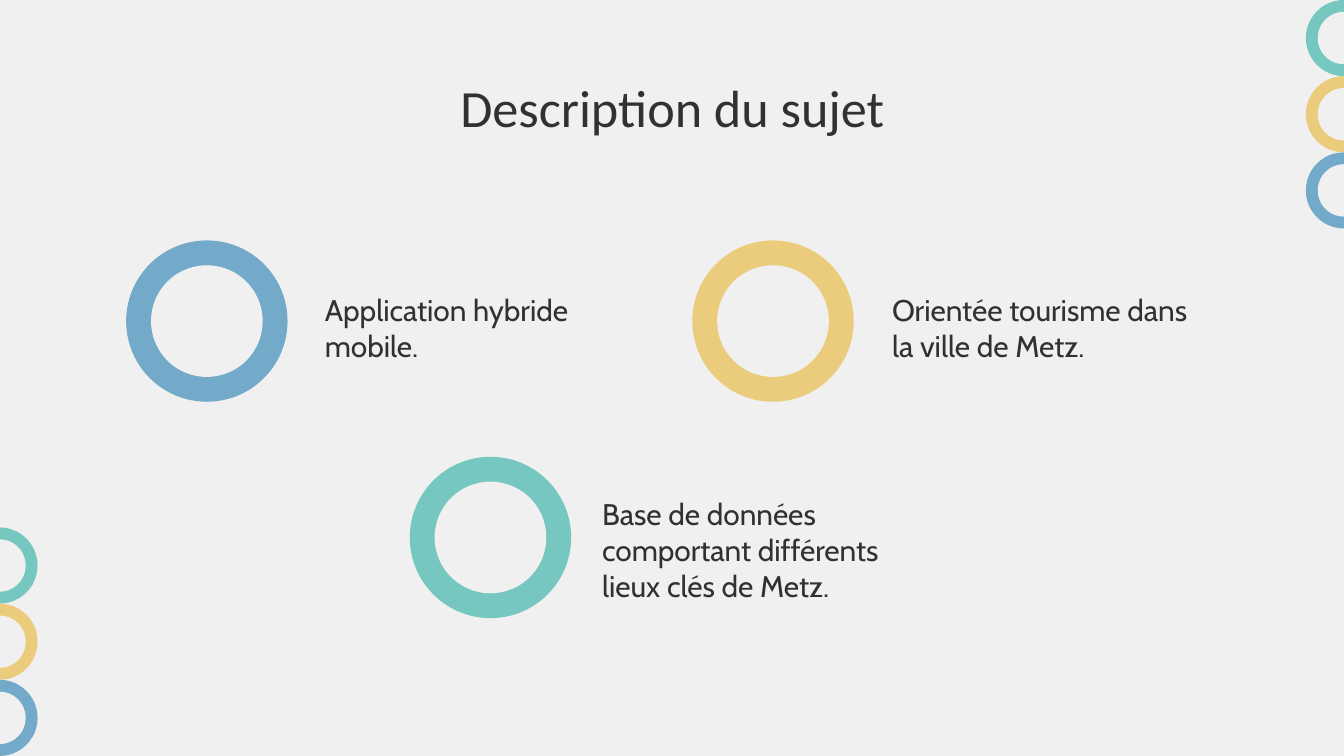
from dataclasses import dataclass

from pptx import Presentation
from pptx import util as u
from pptx.dml import color
from pptx.enum import shapes, text

COLORS = {
    "background": "F0F0F0",
    "text": "313131",
    "blue": "73A9C9",
    "yellow": "EBCC7D",
    "teal": "75C7BF",
}
SLIDE_WIDTH, SLIDE_HEIGHT = 25.4, 14.29
EDGE_DIAMETER, EDGE_HOLE = 1.44, 0.99
TOPIC_DIAMETER, TOPIC_HOLE = 3.05, 2.11
INSET = 0.25


@dataclass
class Ring:
    x: float
    y: float
    color: str
    diameter: float
    hole: float


@dataclass
class Topic:
    ring: Ring
    left: float
    top: float
    label: str


def rgb(name: str) -> color.RGBColor:
    return color.RGBColor.from_string(COLORS[name])


def draw_circle(slide, x: float, y: float, diameter: float, fill: str) -> None:
    corner = u.Cm(x - diameter / 2), u.Cm(y - diameter / 2)
    shape = slide.shapes.add_shape(
        shapes.MSO_SHAPE.OVAL, *corner, u.Cm(diameter), u.Cm(diameter)
    )
    shape.shadow.inherit = False
    shape.fill.solid()
    shape.fill.fore_color.rgb = rgb(fill)
    shape.line.fill.background()


def draw_ring(slide, ring: Ring) -> None:
    draw_circle(slide, ring.x, ring.y, ring.diameter, ring.color)
    draw_circle(slide, ring.x, ring.y, ring.hole, "background")


def draw_edge_rings(slide, x: float, top: float) -> None:
    for row, name in enumerate(("teal", "yellow", "blue")):
        y = top + (row + 0.5) * EDGE_DIAMETER
        draw_ring(slide, Ring(x, y, name, EDGE_DIAMETER, EDGE_HOLE))


def write_text(shape, words: str, font_name: str, size: int, anchor, alignment) -> None:
    frame = shape.text_frame
    frame.text = words
    frame.word_wrap = True
    frame.auto_size = text.MSO_AUTO_SIZE.NONE
    frame.vertical_anchor = anchor
    frame.margin_left = frame.margin_right = u.Cm(INSET)
    frame.margin_top = frame.margin_bottom = u.Cm(INSET)
    paragraph = frame.paragraphs[0]
    paragraph.alignment = alignment
    font = paragraph.runs[0].font
    font.name = font_name
    font.size = u.Pt(size)
    font.color.rgb = rgb("text")


def draw_title(slide, words: str) -> None:
    title = slide.shapes.title
    title.left, title.top = u.Cm(2.01), u.Cm(1.5)
    title.width, title.height = u.Cm(21.39), u.Cm(1.02)
    write_text(title, words, "Calibri", 28, text.MSO_ANCHOR.MIDDLE, text.PP_ALIGN.CENTER)


def draw_topic(slide, topic: Topic) -> None:
    draw_ring(slide, topic.ring)
    box = slide.shapes.add_textbox(
        u.Cm(topic.left), u.Cm(topic.top), u.Cm(6.35), u.Cm(1.6)
    )
    write_text(box, topic.label, "Cabin", 16, text.MSO_ANCHOR.TOP, text.PP_ALIGN.LEFT)
    box.text_frame.paragraphs[0].space_after = u.Pt(16)


def topic_ring(x: float, y: float, name: str) -> Ring:
    return Ring(x, y, name, TOPIC_DIAMETER, TOPIC_HOLE)


TOPICS = (
    Topic(topic_ring(3.91, 6.07, "blue"), 5.89, 5.26, "Application hybride mobile."),
    Topic(topic_ring(14.61, 6.07, "yellow"), 16.61, 5.26,
          "Orientée tourisme dans la ville de Metz."),
    Topic(topic_ring(9.27, 10.16, "teal"), 11.13, 9.12,
          "Base de données comportant différents lieux clés de Metz."),
)


def main() -> None:
    presentation = Presentation()
    presentation.slide_width = u.Cm(SLIDE_WIDTH)
    presentation.slide_height = u.Cm(SLIDE_HEIGHT)
    slide = presentation.slides.add_slide(presentation.slide_layouts[5])
    slide.background.fill.solid()
    slide.background.fill.fore_color.rgb = rgb("background")

    draw_edge_rings(slide, SLIDE_WIDTH, 0)
    draw_edge_rings(slide, -0.01, SLIDE_HEIGHT - 3 * EDGE_DIAMETER)
    draw_title(slide, "Description du sujet")
    for topic in TOPICS:
        draw_topic(slide, topic)
    presentation.save("out.pptx")


if __name__ == "__main__":
    main()
